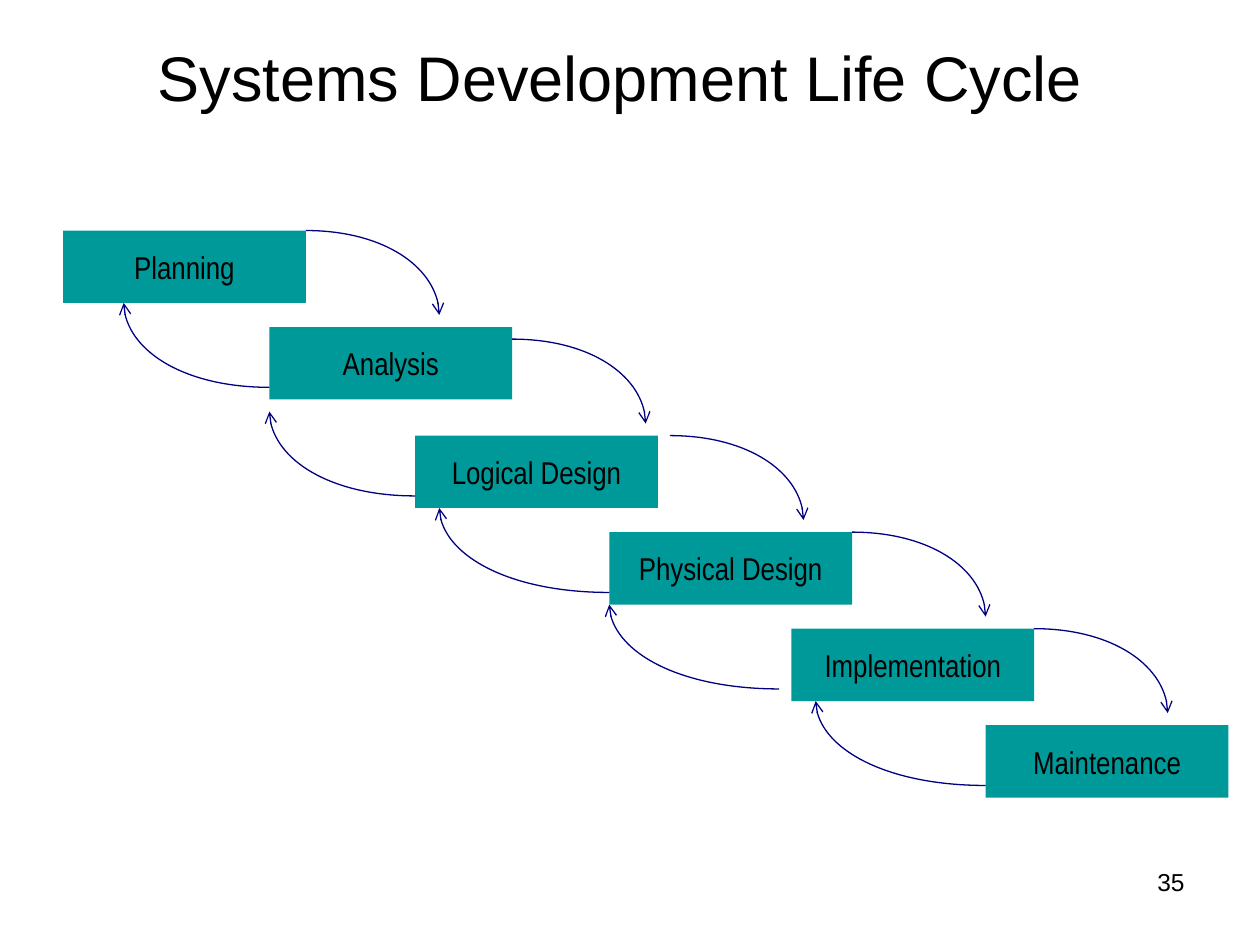
from dataclasses import dataclass

from lxml import etree
from pptx import Presentation
from pptx import util as u
from pptx.dml.color import RGBColor
from pptx.enum import shapes, text
from pptx.oxml import ns


@dataclass(frozen=True)
class Theme:
    ink: RGBColor = RGBColor(0, 0, 0)
    box: RGBColor = RGBColor(0x00, 0x99, 0x99)
    arrow: RGBColor = RGBColor(0x00, 0x00, 0x80)
    font: str = "Arial"
    narrow: str = "Arial Narrow"
    title: int = 36
    label: int = 18
    number: int = 14
    line: float = 0.75


@dataclass(frozen=True)
class Box:
    left: float
    top: float
    width: float
    height: float

    def inches(self):
        return [u.Inches(v) for v in (self.left, self.top, self.width, self.height)]


THEME = Theme()
COLUMNS, ROWS = 96, 47
PHASE_WIDTH, PHASE_HEIGHT = 20, 6
ARC_HEIGHT = 7

# Name, column and row of each phase's top left corner
PHASES = [
    ("Planning", 0, 0),
    ("Analysis", 17, 8),
    ("Logical Design", 29, 17),
    ("Physical Design", 45, 25),
    ("Implementation", 60, 33),
    ("Maintenance", 76, 41),
]
# Column and row where each arc starts, and its width in columns
FORWARD_ARCS = [(20, 0, 11), (37, 9, 11), (50, 17, 11), (65, 25, 11), (80, 33, 11)]
BACK_ARCS = [(17, 13, 12), (29, 22, 12), (45, 30, 14), (59, 38, 14), (76, 46, 14)]


def write(shape, words, size, font=THEME.font, align=text.PP_ALIGN.CENTER,
          anchor=text.MSO_ANCHOR.TOP, wrap=True):
    frame = shape.text_frame
    frame.word_wrap = wrap
    frame.vertical_anchor = anchor
    paragraph = frame.paragraphs[0]
    paragraph.alignment = align
    run = paragraph.add_run()
    run.text = words
    run.font.size = u.Pt(size)
    run.font.name = font
    run.font.color.rgb = THEME.ink


def add_text(slide, box, words, size, **style):
    write(slide.shapes.add_textbox(*box.inches()), words, size, **style)


def add_phase(group, box, name):
    shape = group.shapes.add_shape(shapes.MSO_SHAPE.RECTANGLE, *box.inches())
    shape.shadow.inherit = False
    shape.fill.solid()
    shape.fill.fore_color.rgb = THEME.box
    shape.line.fill.background()
    write(shape, name, THEME.label, font=THEME.narrow,
          anchor=text.MSO_ANCHOR.MIDDLE, wrap=False)


def add_arc(group, start, end):
    """Draw a quarter ellipse that leaves start level and meets end upright."""
    (x1, y1), (x2, y2) = start, end
    bend = 0.55
    controls = [(x1 + bend * (x2 - x1), y1), (x2, y2 - bend * (y2 - y1)), end]
    builder = group.shapes.build_freeform(u.Inches(x1), u.Inches(y1))
    builder.add_line_segments([(u.Inches(x), u.Inches(y)) for x, y in controls], close=False)
    shape = builder.convert_to_shape()

    # Turn the three straight segments into one cubic curve
    segments = list(shape.element.iter(ns.qn("a:lnTo")))
    curve = etree.Element(ns.qn("a:cubicBezTo"))
    segments[0].addprevious(curve)
    for segment in segments:
        curve.append(segment[0])
        segment.getparent().remove(segment)

    shape.shadow.inherit = False
    shape.fill.background()
    shape.line.color.rgb = THEME.arrow
    shape.line.width = u.Pt(THEME.line)
    outline = shape.element.spPr.find(ns.qn("a:ln"))
    etree.SubElement(outline, ns.qn("a:tailEnd"), type="arrow")


def add_cycle(slide, box):
    column, row = box.width / COLUMNS, box.height / ROWS

    def point(x, y):
        return box.left + x * column, box.top + y * row

    group = slide.shapes.add_group_shape()
    for name, x, y in PHASES:
        add_phase(group, Box(*point(x, y), PHASE_WIDTH * column, PHASE_HEIGHT * row), name)
    for arcs, direction in ((FORWARD_ARCS, 1), (BACK_ARCS, -1)):
        for x, y, width in arcs:
            end = point(x + direction * width, y + direction * ARC_HEIGHT)
            add_arc(group, point(x, y), end)


def main():
    presentation = Presentation()
    presentation.slide_width = u.Inches(10)
    presentation.slide_height = u.Inches(7.5)
    slide = presentation.slides.add_slide(presentation.slide_layouts[6])
    add_text(slide, Box(7.17, 6.83, 2.33, 0.52), "35", THEME.number,
             align=text.PP_ALIGN.RIGHT)
    add_text(slide, Box(0.67, 0.26, 8.5, 1.25), "Systems Development Life Cycle", THEME.title)
    add_cycle(slide, Box(0.5, 1.83, 9.25, 4.5))
    presentation.save("out.pptx")


if __name__ == "__main__":
    main()
